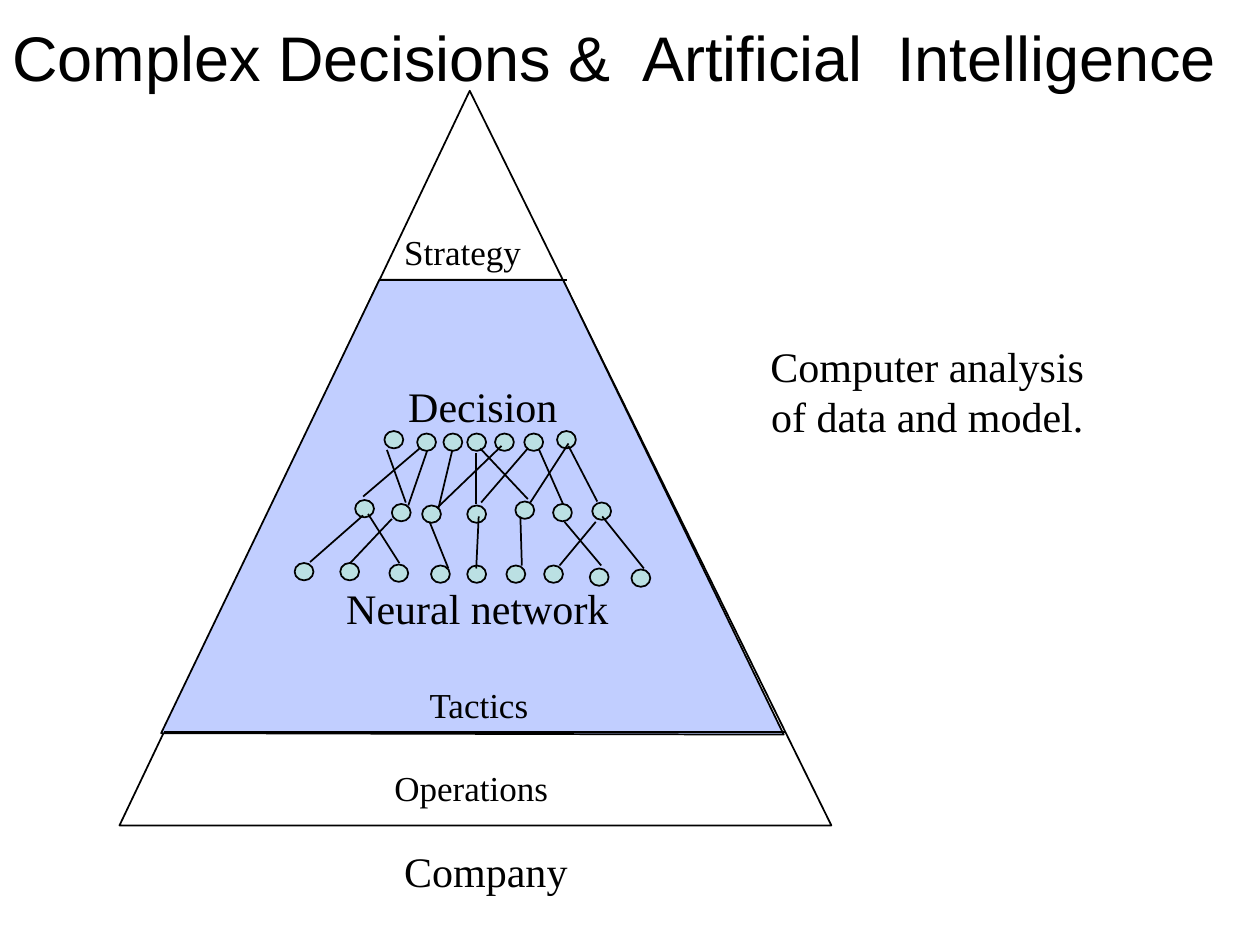
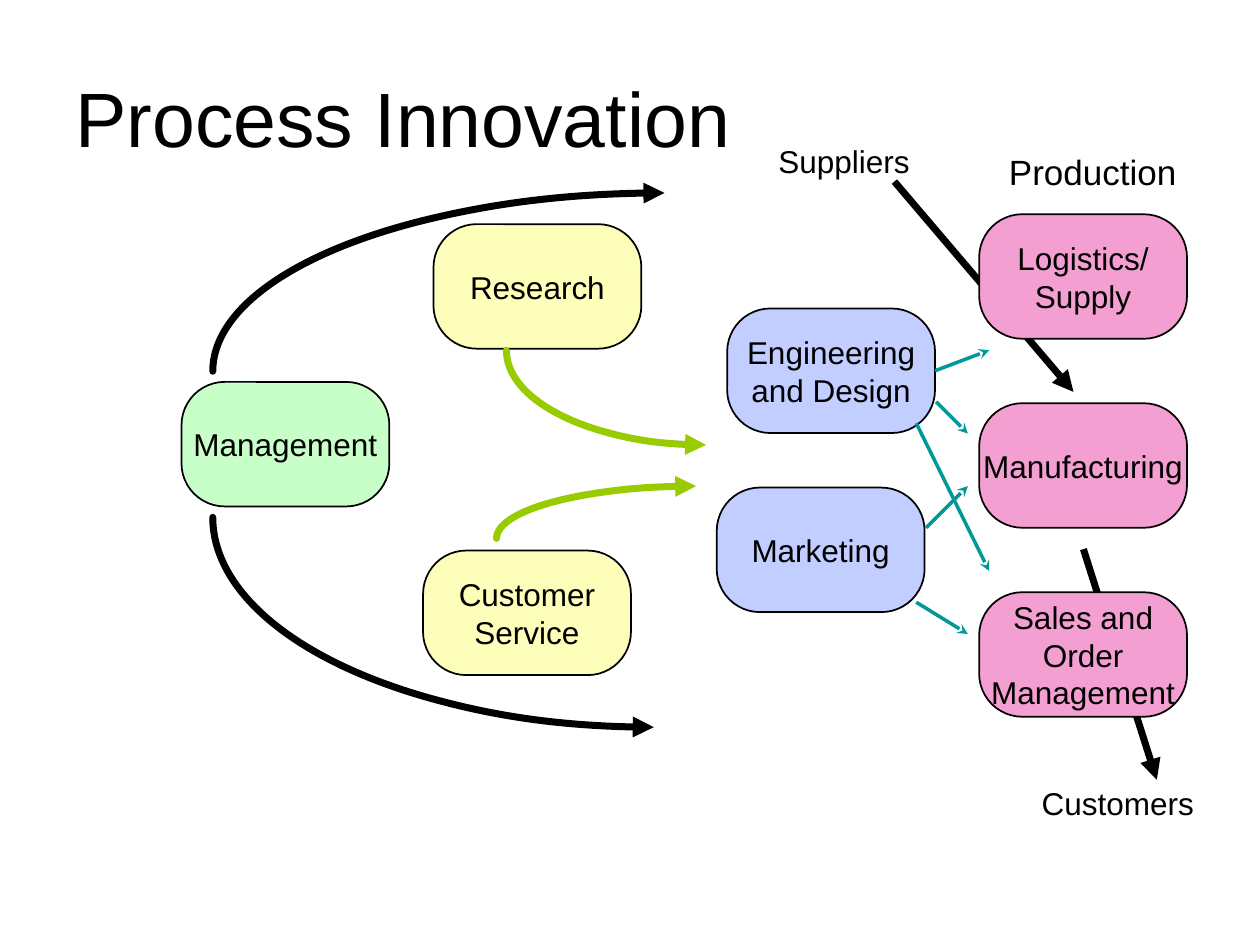
from lxml.etree import SubElement
from pptx import Presentation
from pptx.dml.color import RGBColor
from pptx.enum.shapes import MSO_CONNECTOR, MSO_SHAPE
from pptx.enum.text import MSO_ANCHOR, MSO_AUTO_SIZE, PP_ALIGN
from pptx.oxml.ns import qn
from pptx.util import Cm, Pt

BLACK = RGBColor(0x00, 0x00, 0x00)
PERIWINKLE = RGBColor(0xC1, 0xCE, 0xFF)
AQUA = RGBColor(0xBB, 0xE0, 0xE3)
PINK = RGBColor(0xF3, 0x9F, 0xD1)
YELLOW = RGBColor(0xFC, 0xFE, 0xB9)
MINT = RGBColor(0xC8, 0xFE, 0xC8)
LIME = RGBColor(0x99, 0xCC, 0x00)
TEAL = RGBColor(0x00, 0x99, 0x99)
SANS, SERIF = "Arial", "Times New Roman"
FRAME_INSETS = {
    "margin_left": Cm(0.25), "margin_right": Cm(0.25),
    "margin_top": Cm(0.13), "margin_bottom": Cm(0.13),
}


def set_values(target, values):
    for name, value in values.items():
        setattr(target, name, value)


class SlideBuilder:
    """Holds the deck's style and the slide being drawn."""

    def __init__(self, presentation):
        self.presentation = presentation
        self.slide = None
        self.shapes = None

    def start_slide(self, title, size, *bounds):
        layout = self.presentation.slide_layouts[5]
        self.slide = self.presentation.slides.add_slide(layout)
        self.shapes = self.slide.shapes
        placeholder = self.shapes.title
        set_values(placeholder, dict(zip(("left", "top", "width", "height"), map(Cm, bounds))))
        self.fill_text(placeholder, title, size, SANS, PP_ALIGN.LEFT,
                       vertical_anchor=MSO_ANCHOR.MIDDLE, word_wrap=True,
                       auto_size=MSO_AUTO_SIZE.NONE)

    def start_group(self):
        self.shapes = self.slide.shapes.add_group_shape().shapes

    def end_group(self):
        self.shapes = self.slide.shapes

    def fill_text(self, shape, text, size, font, alignment, **frame_format):
        frame = shape.text_frame
        set_values(frame, {**FRAME_INSETS, **frame_format})
        frame.text = text
        for paragraph in frame.paragraphs:
            paragraph.alignment = alignment
            set_values(paragraph.font, {"name": font, "size": Pt(size)})
            paragraph.font.color.rgb = BLACK

    def outline(self, shape, color=BLACK, weight=1, head=None, tail=None, cap="flat"):
        shape.line.color.rgb = color
        shape.line.width = Pt(weight)
        line = shape._element.spPr.find(qn("a:ln"))
        line.set("cap", cap)
        for end, kind in (("a:headEnd", head), ("a:tailEnd", tail)):
            if kind:
                SubElement(line, qn(end), type=kind)

    def paint(self, shape, fill=None, **line_format):
        shape.shadow.inherit = False
        if fill is None:
            shape.fill.background()
        else:
            shape.fill.solid()
            shape.fill.fore_color.rgb = fill
        self.outline(shape, **line_format)

    def preset(self, kind, bounds, fill=None, **line_format):
        shape = self.shapes.add_shape(kind, *map(Cm, bounds))
        self.paint(shape, fill, **line_format)
        return shape

    def polygon(self, points, fill=None):
        corners = [(Cm(x), Cm(y)) for x, y in points]
        builder = self.shapes.build_freeform(*corners[0], scale=1.0)
        builder.add_line_segments(corners[1:], close=True)
        self.paint(builder.convert_to_shape(), fill)

    def line(self, *ends, **line_format):
        connector = self.shapes.add_connector(MSO_CONNECTOR.STRAIGHT, *map(Cm, ends))
        self.outline(connector, **line_format)
        SubElement(connector._element.spPr, qn("a:effectLst"))
        return connector

    def label(self, text, size, font, bounds, alignment=PP_ALIGN.LEFT, word_wrap=False):
        box = self.shapes.add_textbox(*map(Cm, bounds))
        self.fill_text(box, text, size, font, alignment, word_wrap=word_wrap,
                       auto_size=MSO_AUTO_SIZE.SHAPE_TO_FIT_TEXT)

    def process_box(self, text, left, top, fill):
        box = self.preset(MSO_SHAPE.ROUNDED_RECTANGLE, (left, top, 4.19, 2.51), fill)
        box.adjustments[0] = 0.347
        self.fill_text(box, text, 18, SANS, PP_ALIGN.CENTER,
                       vertical_anchor=MSO_ANCHOR.MIDDLE, word_wrap=False)
        return box

    def quarter_arrow(self, bounds, color, upper):
        """Draw the left upper or lower quarter of an ellipse, pointing right."""
        start, end = (180, 270) if upper else (90, 180)
        arrow_end = {"tail" if upper else "head": "triangle"}
        arc = self.preset(MSO_SHAPE.ARC, bounds, color=color, weight=4, cap="rnd", **arrow_end)
        # Angles are stored in 60000ths of a degree, adjustments in 100000ths
        arc.adjustments[0] = start * 0.6
        arc.adjustments[1] = end * 0.6


NEURON_LAYERS = [
    [(5.94, 11.35), (6.86, 11.35), (7.85, 11.38), (8.69, 11.4), (9.42, 11.4),
     (10.21, 11.4), (10.97, 11.4), (11.89, 11.46), (12.73, 11.48)],
    [(7.16, 10.08), (7.9, 10.16), (8.51, 10.19), (9.42, 10.19), (10.39, 10.11),
     (11.15, 10.16), (11.94, 10.13)],
    [(7.75, 8.69), (8.41, 8.74), (8.94, 8.74), (9.42, 8.74), (9.98, 8.74),
     (10.57, 8.74), (11.23, 8.69)],
]
SYNAPSES = [
    (6.25, 11.33, 7.32, 10.39), (7.06, 11.35, 7.9, 10.46), (8.05, 11.35, 7.42, 10.36),
    (9.04, 11.46, 8.66, 10.52), (9.6, 11.46, 9.65, 10.41), (10.52, 11.4, 10.49, 10.41),
    (11.28, 11.4, 12.01, 10.52), (12.12, 11.4, 11.38, 10.52), (12.98, 11.46, 12.14, 10.41),
    (8.23, 10.19, 8.61, 9.09), (8.84, 10.24, 9.12, 9.07), (9.7, 10.13, 10.64, 9.04),
    (10.64, 10.06, 9.68, 9.04), (11.35, 10.16, 10.87, 9.07), (12.04, 10.11, 11.46, 8.99),
    (7.32, 10.01, 8.46, 9.04), (8.18, 10.13, 7.8, 9.07), (9.6, 10.16, 9.6, 9.14),
    (8.81, 10.24, 10.11, 8.99), (10.69, 10.13, 11.46, 8.94),
]


def build_decision_pyramid(builder):
    builder.start_slide("Complex Decisions &  Artificial  Intelligence", 36, 0, 0.53, 25.4, 1.19)
    builder.label("Computer analysis\nof data and model.", 24, SERIF,
                  (13.49, 6.73, 10.41, 2.29), PP_ALIGN.CENTER, word_wrap=True)
    builder.polygon([(9.47, 1.83), (2.41, 16.64), (16.76, 16.64)])
    builder.polygon([(7.65, 5.64), (3.25, 14.78), (15.8, 14.81), (11.35, 5.64)], PERIWINKLE)
    builder.line(7.67, 5.64, 11.43, 5.64)
    builder.line(3.3, 14.76, 15.82, 14.76)

    builder.start_group()
    for layer in NEURON_LAYERS:
        for left, top in layer:
            builder.preset(MSO_SHAPE.OVAL, (left, top, 0.38, 0.35), AQUA)
    for ends in SYNAPSES:
        builder.line(*ends)
    builder.end_group()

    for text, size, bounds in [
        ("Decision", 24, (7.98, 7.54, 3.53, 1.27)),
        ("Operations", 20, (7.7, 15.32, 3.61, 1.09)),
        ("Tactics", 20, (8.41, 13.64, 2.57, 1.09)),
        ("Strategy", 20, (7.9, 4.52, 2.87, 1.09)),
        ("Neural network", 24, (6.73, 11.61, 5.82, 1.27)),
        ("Company", 24, (7.9, 16.92, 3.81, 1.27)),
    ]:
        builder.label(text, size, SERIF, bounds)


def build_process_innovation(builder):
    builder.start_slide("Process Innovation", 44, 1.27, 0.76, 22.86, 3.18)
    for ends in [(18.03, 3.66, 21.64, 7.9), (21.84, 11.07, 23.32, 15.72)]:
        builder.line(*ends, weight=4, tail="triangle")

    production_steps = ["Logistics/\nSupply", "Manufacturing", "Sales and\nOrder\nManagement"]
    for row, text in enumerate(production_steps):
        builder.process_box(text, 19.74, 4.32 + 3.81 * row, PINK)
    engineering = builder.process_box("Engineering\nand Design", 14.66, 6.22, PERIWINKLE)
    for text, left, top, fill in [
        ("Marketing", 14.45, 9.83, PERIWINKLE),
        ("Research", 8.74, 4.52, YELLOW),
        ("Customer\nService", 8.53, 11.1, YELLOW),
        ("Management", 3.66, 7.7, MINT),
    ]:
        builder.process_box(text, left, top, fill)

    for bounds, color, upper in [
        ((10.21, 5.16, 8.05, 3.81), LIME, False),
        ((10.01, 9.8, 8.05, 2.11), LIME, True),
        ((4.29, 3.89, 18.21, 7.19), BLACK, True),
        ((4.29, 6.2, 17.78, 8.46), BLACK, False),
    ]:
        builder.quarter_arrow(bounds, color, upper)

    teal_arrow = {"color": TEAL, "weight": 2, "tail": "stealth"}
    to_logistics = builder.line(18.87, 7.47, 19.94, 7.06, **teal_arrow)
    to_logistics.begin_connect(engineering, 3)
    for ends in [
        (18.87, 8.1, 19.51, 8.74), (18.47, 8.53, 19.94, 11.51),
        (18.47, 12.14, 19.51, 12.78), (18.67, 10.64, 19.51, 9.8),
    ]:
        builder.line(*ends, **teal_arrow)

    for text, size, bounds in [
        ("Suppliers", 18, (15.44, 2.74, 3.15, 1.02)),
        ("Customers", 18, (20.75, 15.67, 3.58, 1.02)),
        ("Production", 20, (20.09, 2.9, 3.89, 1.09)),
    ]:
        builder.label(text, size, SANS, bounds)


def main():
    presentation = Presentation()
    set_values(presentation, {"slide_width": Cm(25.4), "slide_height": Cm(19.05)})
    builder = SlideBuilder(presentation)
    build_decision_pyramid(builder)
    build_process_innovation(builder)
    presentation.save("out.pptx")


if __name__ == "__main__":
    main()
